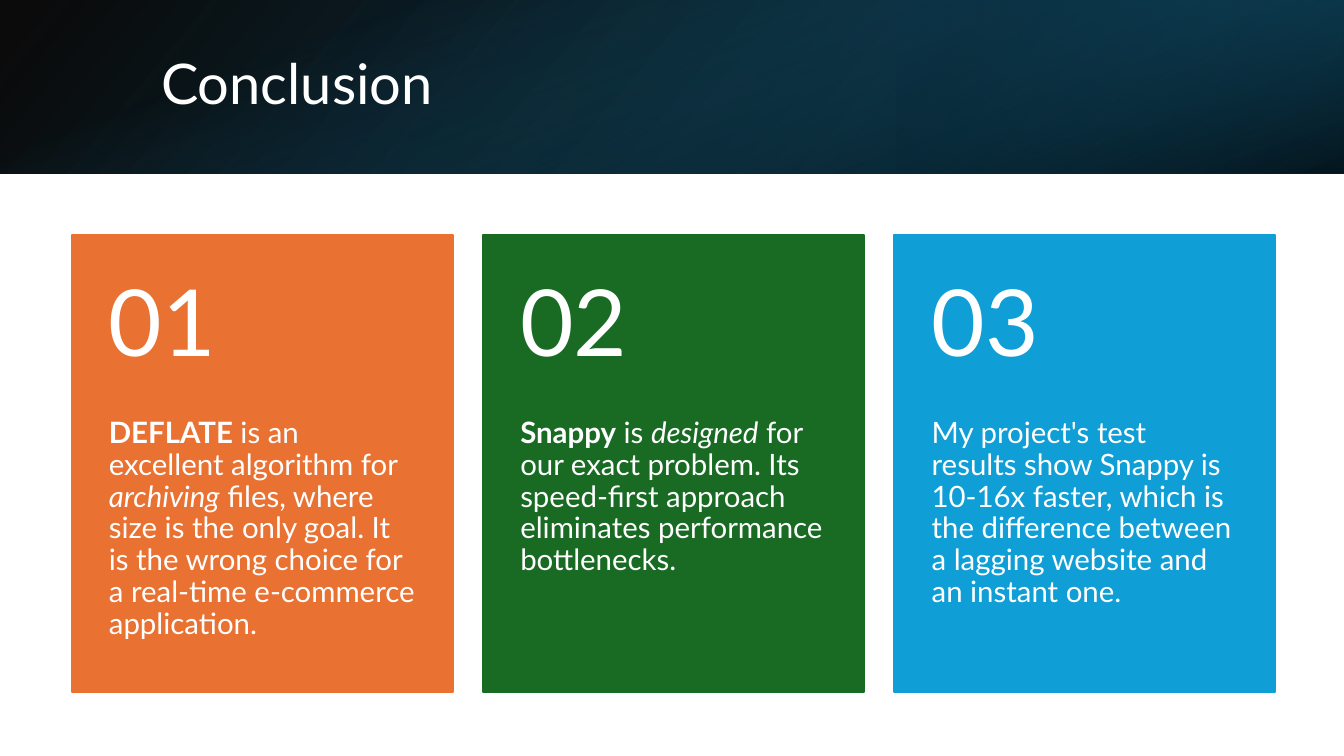
from lxml.etree import SubElement
from pptx import Presentation
from pptx.dml.color import RGBColor
from pptx.enum.shapes import MSO_SHAPE
from pptx.enum.text import MSO_ANCHOR
from pptx.oxml.ns import qn
from pptx.util import Inches, Pt

WHITE = RGBColor(0xFF, 0xFF, 0xFF)
BLACK = RGBColor(0x00, 0x00, 0x00)
NAVY = RGBColor(0x10, 0x48, 0x62)
DEEP_TEAL = RGBColor(0x0B, 0x30, 0x41)
TEAL = RGBColor(0x15, 0x60, 0x82)
ORANGE = RGBColor(0xE9, 0x71, 0x32)
GREEN = RGBColor(0x19, 0x6B, 0x24)
BLUE = RGBColor(0x0F, 0x9E, 0xD5)

SLIDE_W, SLIDE_H = 13.33, 7.5
BANNER_H = 1.72
CARD_LEFT, CARD_TOP, CARD_STEP = 0.71, 2.33, 4.08
CARD_W, CARD_H, NUMBER_H = 3.78, 4.54, 1.82

# Each card: colour and its (text, style) runs
CARDS = [
    (ORANGE, [("DEFLATE", "bold"), (" is an excellent algorithm for ", ""),
              ("archiving", "italic"),
              (" files, where size is the only goal. It is the wrong choice "
               "for a real-time e-commerce application.", "")]),
    (GREEN, [("Snappy", "bold"), (" is ", ""), ("designed", "italic"),
             (" for our exact problem. Its speed-first approach eliminates "
              "performance bottlenecks.", "")]),
    (BLUE, [("My project's test results show Snappy is 10-16x faster, which is "
             "the difference between a lagging website and an instant one.", "")]),
]


class SlideBuilder:
    font = "Lato"
    text_color = WHITE

    def __init__(self, slide):
        self.slide = slide

    def rectangle(self, box):
        shape = self.slide.shapes.add_shape(MSO_SHAPE.RECTANGLE, *map(Inches, box))
        shape.shadow.inherit = False
        return shape

    def panel(self, box, color):
        panel = self.rectangle(box)
        panel.fill.solid()
        panel.fill.fore_color.rgb = color
        panel.line.color.rgb = color
        panel.line.width = Pt(1.5)

    def gradient(self, box, angle, stops, rotation=0, flip=False):
        """Stops are (position %, colour, opacity %); angle runs clockwise."""
        layer = self.rectangle(box)
        layer.line.fill.background()
        layer.rotation = rotation
        if flip:
            layer._element.spPr.find(qn("a:xfrm")).set("flipH", "1")
        layer.fill.gradient()
        layer.fill.gradient_angle = 360 - angle
        for stop, (position, color, _) in zip(layer.fill.gradient_stops, stops):
            stop.position = position / 100
            stop.color.rgb = color
        colors = layer._element.spPr.iter(qn("a:srgbClr"))
        for color, (_, _, opacity) in zip(list(colors), stops):
            SubElement(color, qn("a:alpha")).set("val", str(opacity * 1000))

    def text(self, box, runs, size, insets=(0.1, 0.05, 0.1, 0.05),
             anchor=MSO_ANCHOR.MIDDLE):
        frame = self.slide.shapes.add_textbox(*map(Inches, box)).text_frame
        frame.word_wrap = True
        frame.vertical_anchor = anchor
        (frame.margin_left, frame.margin_top,
         frame.margin_right, frame.margin_bottom) = map(Inches, insets)
        paragraph = frame.paragraphs[0]
        paragraph.line_spacing = 0.9
        for wording, style in runs:
            run = paragraph.add_run()
            run.text = wording
            run.font.name = self.font
            run.font.size = Pt(size)
            run.font.color.rgb = self.text_color
            run.font.bold = style == "bold"
            run.font.italic = style == "italic"


def main():
    prs = Presentation()
    prs.slide_width, prs.slide_height = Inches(SLIDE_W), Inches(SLIDE_H)
    builder = SlideBuilder(prs.slides.add_slide(prs.slide_layouts[6]))

    # Banner: three translucent gradients
    builder.gradient((0, 0, SLIDE_W, BANNER_H), 140,
                     [(0, BLACK, 96), (100, NAVY, 100)], flip=True)
    builder.gradient((8.89, 0, 4.44, BANNER_H), 320,
                     [(19, DEEP_TEAL, 68), (100, TEAL, 79)], rotation=180, flip=True)
    # Upright before its quarter turn, so it is centred on the banner
    offset = (SLIDE_W - BANNER_H) / 2
    builder.gradient((offset, -offset, BANNER_H, SLIDE_W), 340,
                     [(23, TEAL, 0), (99, BLACK, 74)], rotation=90)
    builder.text((1.5, 0.38, 10.98, 0.96), [("Conclusion", "")], 40)

    # Numbered cards
    for index, (color, message) in enumerate(CARDS):
        left = CARD_LEFT + index * CARD_STEP
        builder.panel((left, CARD_TOP, CARD_W, CARD_H), color)
        builder.text((left, CARD_TOP + NUMBER_H, CARD_W, CARD_H - NUMBER_H), message,
                     21, (0.37, 0, 0.37, 0.36), MSO_ANCHOR.TOP)
        builder.text((left, CARD_TOP, CARD_W, NUMBER_H), [(f"{index + 1:02}", "")],
                     66, (0.37, 0.18, 0.37, 0.18))

    prs.save("out.pptx")


if __name__ == "__main__":
    main()
